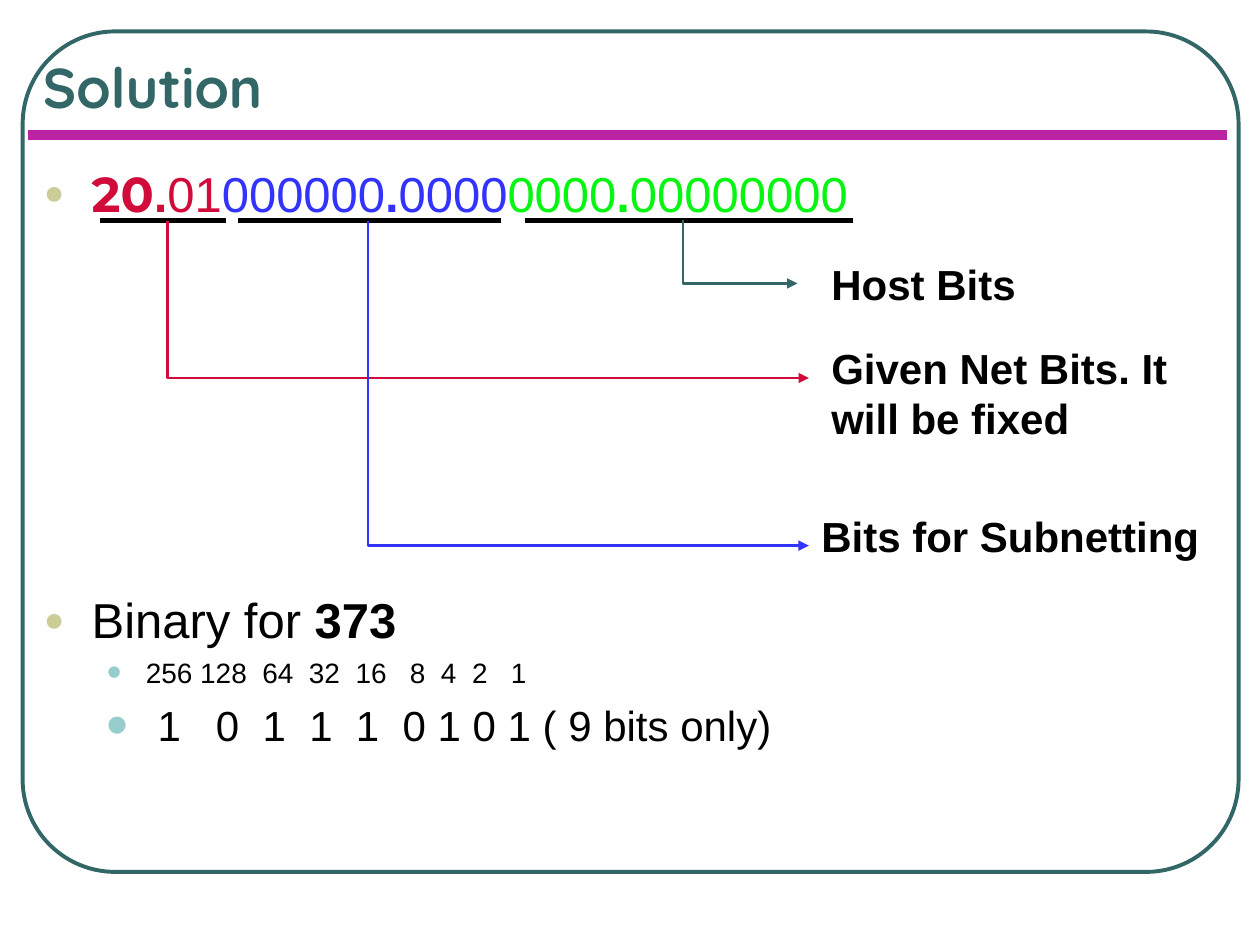
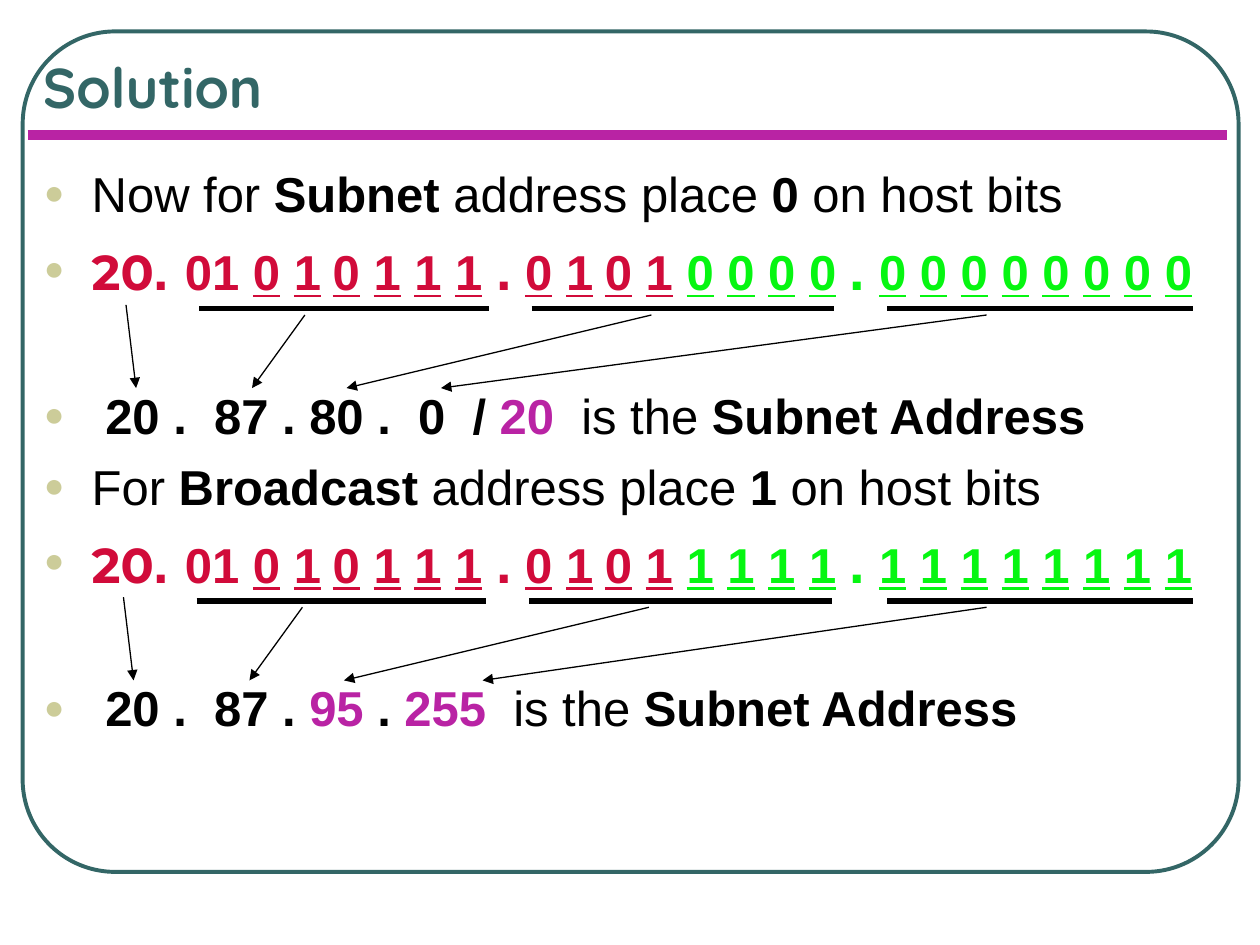
from lxml import etree
from pptx import Presentation
from pptx.dml.color import RGBColor
from pptx.enum.shapes import MSO_CONNECTOR, MSO_SHAPE
from pptx.enum.text import MSO_ANCHOR, PP_ALIGN
from pptx.oxml.ns import qn
from pptx.util import Inches, Pt

STRAIGHT = MSO_CONNECTOR.STRAIGHT
ROUND = MSO_SHAPE.ROUNDED_RECTANGLE
LEFT = PP_ALIGN.LEFT
TOP, BOTTOM = MSO_ANCHOR.TOP, MSO_ANCHOR.BOTTOM

TEAL = RGBColor(0x33, 0x66, 0x66)
PURPLE = RGBColor(0xB9, 0x23, 0xA4)
RED = RGBColor(0xD1, 0x0B, 0x3A)
BLUE = RGBColor(0x33, 0x33, 0xFF)
GREEN = RGBColor(0x06, 0xF6, 0x11)
BLACK = RGBColor(0, 0, 0)

BODY = (0.25, 1.25, 9.5, 5.58)
LINE = 1.2      # line height per point of text size
SPACE = 0.278   # width of a space per point of text size

# Bullet levels: indent, hang, mark, colour, percent
LEVELS = [(0.38, 0.38, "●", "CCCC99", 70), (0.81, 0.31, "•", "97CDCC", 150)]


# Lines and arrows
def ink(shape, color, width, arrow=False):
    shape.line.color.rgb = color
    shape.line.width = Pt(width)
    if arrow:
        line = shape.line._get_or_add_ln()
        etree.SubElement(line, qn("a:tailEnd"), type="triangle")


def rule(slide, start, end, color, width, arrow=False):
    line = slide.shapes.add_connector(
        STRAIGHT, *(Inches(v) for v in (*start, *end)))
    ink(line, color, width, arrow)
    etree.SubElement(line._element.spPr, qn("a:effectLst"))


def elbow(slide, start, end, color):
    """Arrow that runs down from start, then right to end."""
    pen = slide.shapes.build_freeform(
        Inches(start[0]), Inches(start[1]), scale=1.0)
    turns = [(start[0], end[1]), end]
    pen.add_line_segments([(Inches(x), Inches(y)) for x, y in turns],
                          close=False)
    shape = pen.convert_to_shape()
    shape.shadow.inherit = False
    shape.fill.background()
    ink(shape, color, 1.5, True)


# Text
def add_run(par, text, size, gap=1, color=None, bold=None, under=None,
            font=None):
    """Add a run; gap widens its last space to that many spaces."""
    pieces = [(text, 1)] if gap == 1 else [(text[:-1], 1), (" ", gap)]
    for piece, wide in pieces:
        run = par.add_run()
        run.text = piece
        run.font.size = Pt(size)
        run.font.bold = bold
        run.font.underline = under
        if font:
            run.font.name = font
        if color is not None:
            run.font.color.rgb = color
        if wide > 1:
            extra = round((wide - 1) * SPACE * size * 100)
            run._r.get_or_add_rPr().set("spc", str(extra))


def spread(words, gaps, **style):
    """Runs for words set apart by gaps of the given widths."""
    return [(word + " ", dict(style, gap=gap))
            for word, gap in zip(words, gaps)]


def fill_par(par, runs, size=28, level=0, before=7, tall=None):
    indent, hang, mark, color, share = LEVELS[level]
    props = par._p.get_or_add_pPr()
    props.set("marL", str(Inches(indent)))
    props.set("indent", str(-Inches(hang)))
    tint = etree.SubElement(props, qn("a:buClr"))
    etree.SubElement(tint, qn("a:srgbClr"), val=color)
    etree.SubElement(props, qn("a:buSzPct"), val=str(share * 1000))
    etree.SubElement(props, qn("a:buFont"), typeface="Arial")
    etree.SubElement(props, qn("a:buChar"), char=mark)
    par.level = level
    par.alignment = LEFT
    par.line_spacing = Pt(LINE * (tall or size))
    par.space_before = Pt(before)
    par.font.name = "Arial"
    par.font.color.rgb = BLACK
    for text, style in runs:
        add_run(par, text, **{"size": size, **style})


def text_box(slide, box):
    frame = slide.shapes.add_textbox(*(Inches(v) for v in box)).text_frame
    frame.word_wrap = True
    frame.vertical_anchor = TOP
    return frame


def body(slide, box, items):
    frame = text_box(slide, box)
    for i, (runs, look) in enumerate(items):
        par = frame.add_paragraph() if i else frame.paragraphs[0]
        fill_par(par, runs, **(look if i else {**look, "before": 0}))


def label(slide, box, text):
    par = text_box(slide, box).paragraphs[0]
    par.text = text
    par.font.name = "Arial"
    par.font.size = Pt(24)
    par.font.bold = True
    par.font.color.rgb = BLACK


def skip(lines):
    """Space before a paragraph that leaves room for body lines."""
    return 7 + lines * (28 * LINE + 7)


# Frame, band and title shared by the slides
def base(deck, text):
    slide = deck.slides.add_slide(deck.slide_layouts[5])
    frame = slide.shapes.add_shape(
        ROUND, *(Inches(v) for v in (0.18, 0.25, 9.65, 6.67)))
    frame.adjustments[0] = 0.11
    frame.shadow.inherit = False
    frame.fill.background()
    ink(frame, TEAL, 2.25)
    rule(slide, (0.22, 1.07), (9.74, 1.07), PURPLE, 6)
    title = slide.shapes.title
    title.left, title.top = Inches(0.24), Inches(0.25)
    title.width, title.height = Inches(9.67), Inches(0.75)
    title.text_frame.vertical_anchor = BOTTOM
    par = title.text_frame.paragraphs[0]
    par.text = text
    par.alignment = LEFT
    par.font.name = "Quicksand"
    par.font.size = Pt(32)
    par.font.bold = True
    par.font.color.rgb = TEAL
    return slide


# Slide 1: which bits belong to net, subnet and host
def split_slide(deck):
    slide = base(deck, "Solution")
    bold = {"bold": True}
    mask = [
        ("20", dict(bold, color=RED, font="Montserrat")),
        (".", dict(bold, color=RED)),
        ("01", {"color": RED}),
        ("000000", {"color": BLUE}),
        (".", dict(bold, color=BLUE)),
        ("0000", {"color": BLUE}),
        ("0000", {"color": GREEN}),
        (".", dict(bold, color=GREEN)),
        ("00000000", {"color": GREEN}),
    ]
    powers = spread("256 128 64 32 16 8 4 2".split(),
                    [1, 2, 2, 2, 3, 2, 2, 3]) + [("1", {})]
    digits = spread([" 1", *"0111010"], [3, 2, 2, 2, 2, 1, 1, 1])
    body(slide, BODY, [
        (mask, {}),
        ([("Binary for ", {}), ("373", bold)], {"before": skip(5)}),
        (powers, {"size": 16, "level": 1, "before": 4}),
        (digits + [("1 ( 9 bits only)", {})],
         {"size": 24, "level": 1, "before": 6}),
    ])
    # Bars under the parts, then an arrow from each to its label
    bar = 1.75
    for x, end in [(0.79, 1.79), (4.17, 6.77), (1.89, 3.98)]:
        rule(slide, (x, bar), (end, bar), BLACK, 3)
    for x, end, color, box, text in [
        (5.42, (6.33, 2.25), TEAL, (6.5, 2, 2.25, 0.5), "Host Bits"),
        (1.33, (6.42, 3), RED, (6.5, 2.67, 3, 0.9),
         "Given Net Bits. It will be fixed"),
        (2.92, (6.42, 4.33), BLUE, (6.42, 4, 3.25, 0.5),
         "Bits for Subnetting"),
    ]:
        elbow(slide, (x, bar), end, color)
        label(slide, box, text)


# Slide 2: subnet and broadcast addresses
def bits(digits, color, tight=False):
    """Underlined digits; tight narrows the space after the second."""
    look = {"bold": True, "color": color}
    runs = []
    for i, digit in enumerate(digits):
        size = 24 if tight and i == 1 else 28
        runs += [(digit, dict(look, under=True)), (" ", dict(look, size=size))]
    return runs


def binary(host):
    red = {"bold": True, "color": RED}
    dot = {"bold": True, "size": 32}
    return [
        ("20", dict(red, font="Montserrat")),
        (". ", dict(dot, color=RED)),
        ("01 ", red),
        *bits("010111", RED, True),
        (".", dict(dot, color=RED)), (" ", red),
        *bits("0101", RED, True),
        *bits(host * 4, GREEN),
        (".", dict(dot, color=GREEN)), (" ", red),
        *bits(host * 8, GREEN)[:-1],
    ]


def trace(slide, left, top, tip):
    """Bars under the octets and arrows to their decimal values."""
    bar, tail, head = top + 0.03, top + 0.08, top + 0.66
    for x, end in [(1.58 + left, 3.88 + left), (4.22 + left, 6.62 + left),
                   (7.04, 9.47)]:
        rule(slide, (x, bar), (end, bar), BLACK, 3)
    for x, y, end in [(1 + left, top, 1.08 + left),
                      (2.42 + left, tail, 2 + left),
                      (5.17 + left, tail, 2.75 + left), (7.83, tail, tip)]:
        rule(slide, (x, y), (end, head), BLACK, 0.75, True)


def address_slide(deck):
    slide = base(deck, "Solution")
    bold = {"bold": True}
    note = {"bold": True, "color": PURPLE}
    closing = [("is the ", {}), ("Subnet Address", bold)]
    row, result = {"tall": 32}, {"before": skip(1)}
    body(slide, BODY, [
        ([("Now for ", {}), ("Subnet ", bold), ("address place ", {}),
          ("0", bold), (" on host bits", {})], {}),
        (binary("0"), row),
        (spread([" 20 .", "87 . 80 .", "0"], [2, 2, 2], bold=True)
         + [("/ ", bold), ("20 ", dict(note, gap=2))] + closing, result),
        ([("For ", {}), ("Broadcast", bold), (" address place ", {}),
          ("1", bold), (" on host bits", {})], {}),
        (binary("1"), row),
        (spread([" 20 ."], [2], bold=True)
         + [("87 . ", bold), ("95", note), (" . ", bold),
            ("255 ", dict(note, gap=2))] + closing, result),
    ])
    trace(slide, 0, 2.42, 3.5)
    trace(slide, -0.02, 4.74, 3.83)


def main():
    deck = Presentation()
    deck.slide_width, deck.slide_height = Inches(10), Inches(7.5)
    split_slide(deck)
    address_slide(deck)
    deck.save("out.pptx")


if __name__ == "__main__":
    main()
